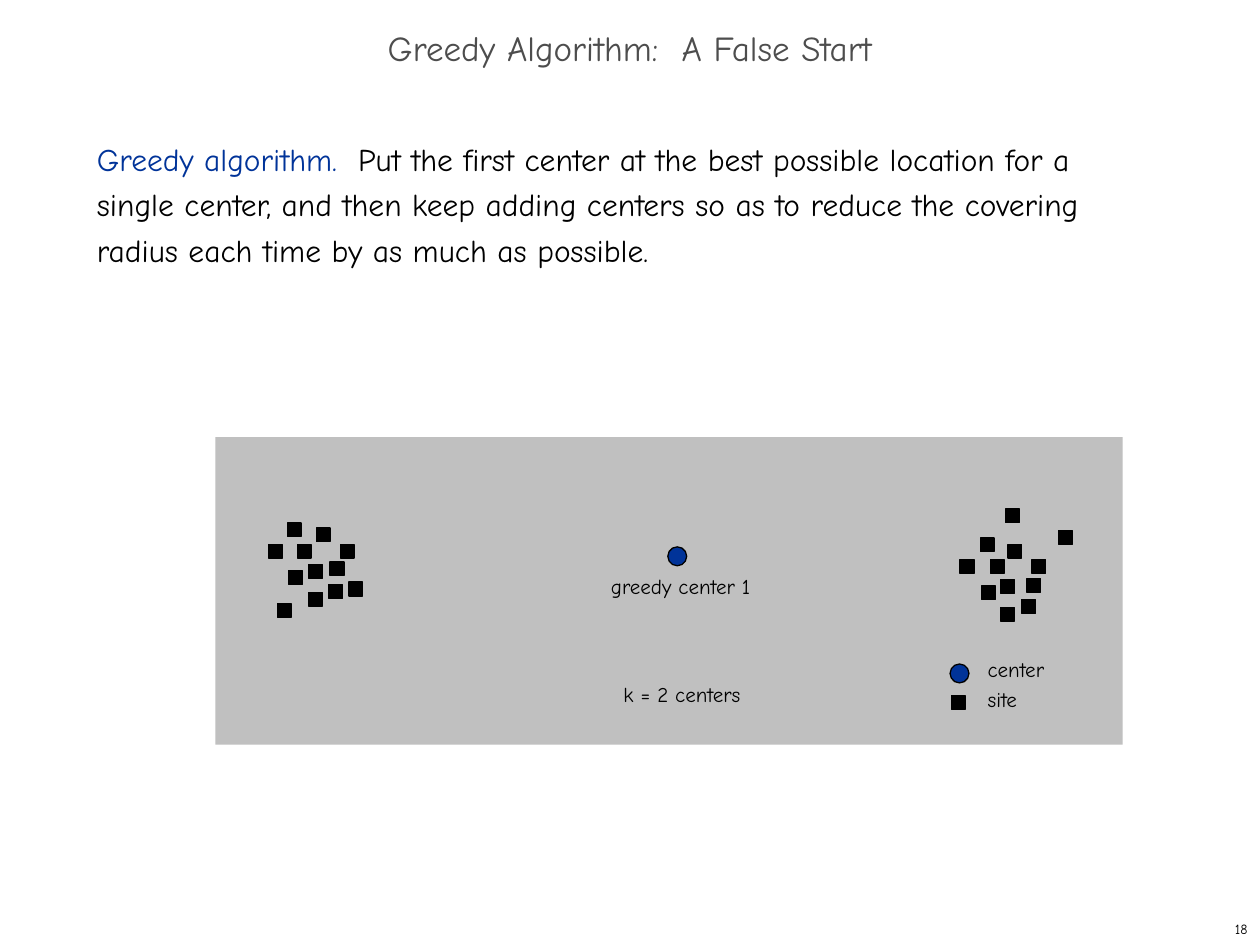
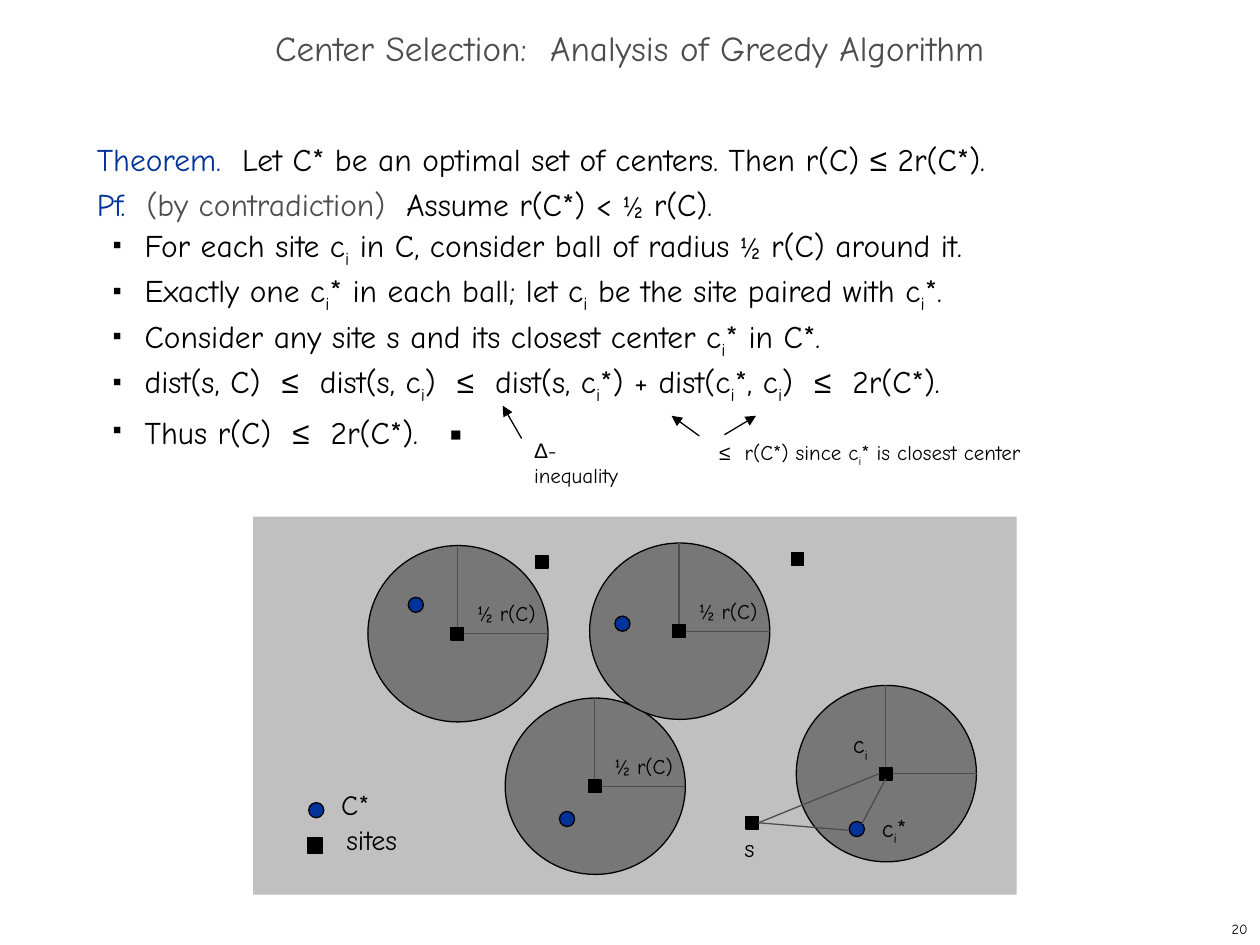
from dataclasses import dataclass
from itertools import groupby

from lxml import etree
from pptx import Presentation
from pptx.dml.color import RGBColor
from pptx.enum.shapes import MSO_CONNECTOR, MSO_SHAPE
from pptx.enum.text import MSO_ANCHOR, PP_ALIGN
from pptx.oxml.ns import qn
from pptx.util import Emu, Pt

RECT, OVAL = MSO_SHAPE.RECTANGLE, MSO_SHAPE.OVAL
STRAIGHT = MSO_CONNECTOR.STRAIGHT
TOP, MIDDLE = MSO_ANCHOR.TOP, MSO_ANCHOR.MIDDLE
LEFT, CENTER, RIGHT = PP_ALIGN.LEFT, PP_ALIGN.CENTER, PP_ALIGN.RIGHT
PX = 9144


@dataclass(frozen=True)
class Theme:
    black: str = "000000"
    blue: str = "003399"
    gray: str = "4D4D4D"
    panel: str = "C0C0C0"
    ball: str = "777777"
    font: str = "Comic Neue"
    symbol_font: str = "Arial"
    title: int = 20
    body: int = 18
    legend: int = 16
    name: int = 14
    label: int = 12
    page: int = 8
    fraction: int = 16
    leading: int = 26
    line: float = 0.75


T = Theme()

LEFT_SITES = [
    (228, 415), (236, 432), (245, 448), (251, 419), (245, 470),
    (213, 432), (229, 453), (261, 464), (270, 432), (262, 446),
    (277, 462), (220, 479),
]
RIGHT_SITES = [
    (778, 427), (786, 444), (794, 460), (800, 432), (794, 482),
    (762, 444), (779, 465), (811, 476), (819, 444), (798, 404),
    (815, 459), (840, 421),
]
BALLS = [
    (292, 433, True), (401, 554, True),
    (468, 431, True), (632, 544, False),
]
OPTIMAL_CENTERS = [(444, 644), (324, 474), (488, 489), (674, 652)]
PROOF_STEPS = [
    "For each site cᵢ in C, consider ball of radius ½ r(C) around it.",
    "Exactly one cᵢ* in each ball; let cᵢ be the site paired with cᵢ*.",
    "Consider any site s and its closest center cᵢ* in C*.",
    "dist(s, C)  ≤  dist(s, cᵢ)  ≤  dist(s, cᵢ*) + dist(cᵢ*, cᵢ)  ≤  2r(C*).",
    "Thus r(C)  ≤  2r(C*).   ▪",
]


def px(*lengths):
    return [Emu(n * PX) for n in lengths]


def rgb(color):
    return RGBColor.from_string(color)


def set_attrs(obj, fmt):
    for key, value in fmt.items():
        setattr(obj, key, value)


def char_kind(char):
    return char if char in "ᵢ≤Δ½" else ""


def add_runs(p, text, size, color):
    for kind, chars in groupby(text, char_kind):
        r = p.add_run()
        r.text = "i" if kind == "ᵢ" else "".join(chars)
        set_attrs(r.font, {
            "name": T.symbol_font if kind in ("≤", "Δ") else T.font,
            "size": Pt(min(size, T.fraction) if kind == "½" else size),
        })
        r.font.color.rgb = rgb(color)
        if kind == "ᵢ":
            r.font._element.set("baseline", "-25000")


def add_box(slide, box, anchor=TOP, wrap=True):
    tf = slide.shapes.add_textbox(*px(*box)).text_frame
    set_attrs(tf, {"word_wrap": wrap, "vertical_anchor": anchor})
    return tf


def add_label(slide, text, box, size=T.label, color=T.black,
              align=LEFT, anchor=TOP, wrap=True):
    p = add_box(slide, box, anchor, wrap).paragraphs[0]
    p.alignment = align
    add_runs(p, text, size, color)
    return p


def add_bullet(p):
    pPr = p._p.get_or_add_pPr()
    indent, hang = px(38, -25)
    pPr.set("marL", str(indent))
    pPr.set("indent", str(hang))
    clr = etree.SubElement(pPr, qn("a:buClr"))
    etree.SubElement(clr, qn("a:srgbClr"), val=T.black)
    etree.SubElement(pPr, qn("a:buSzPct"), val="35000")
    etree.SubElement(pPr, qn("a:buChar"), char="■")


def add_body(slide, width, statements, bullets=()):
    tf = add_box(slide, (67, 100, width, 592))
    paragraphs = [(runs, False) for runs in statements]
    paragraphs += [([(step, T.black)], True) for step in bullets]
    for i, (runs, bulleted) in enumerate(paragraphs):
        p = tf.add_paragraph() if i else tf.paragraphs[0]
        if bulleted:
            add_bullet(p)
        p.line_spacing = Pt(T.leading)
        for text, color in runs:
            add_runs(p, text, T.body, color)


def add_figure(slide, kind, box, fill, outlined=True):
    sp = slide.shapes.add_shape(kind, *px(*box))
    sp.shadow.inherit = False
    sp.fill.solid()
    sp.fill.fore_color.rgb = rgb(fill)
    if outlined:
        sp.line.color.rgb = rgb(T.black)
        sp.line.width = Pt(T.line)
    else:
        sp.line.fill.background()


def add_panel(slide, box):
    add_figure(slide, RECT, box, T.panel, outlined=False)


def add_site(slide, x, y, size):
    add_figure(slide, RECT, (x, y, size, size), T.black)


def add_center(slide, x, y, size):
    add_figure(slide, OVAL, (x, y, size, size), T.blue)


def add_line(slide, start, end, color=T.gray, arrow=False):
    c = slide.shapes.add_connector(STRAIGHT, *px(*start, *end))
    c.line.color.rgb = rgb(color)
    c.line.width = Pt(T.line)
    if arrow:
        etree.SubElement(c.line._get_or_add_ln(), qn("a:tailEnd"),
                         type="triangle")
    etree.SubElement(c._element.spPr, qn("a:effectLst"))


def add_ball(slide, x, y, labelled):
    add_figure(slide, OVAL, (x, y, 143, 140), T.ball)
    add_line(slide, (x + 76, y + 70), (x + 143, y + 70))
    add_line(slide, (x + 71, y + 65), (x + 71, y))
    add_site(slide, x + 66, y + 65, 10)
    if labelled:
        add_label(slide, "½ r(C)", (x + 77, y + 39, 80, 33))


def new_slide(prs, title, number):
    s = prs.slides.add_slide(prs.slide_layouts[6])
    add_label(s, number, (792, 725, 208, 25), T.page,
              align=RIGHT, anchor=MIDDLE)
    p = add_label(s, title, (0, 17, 1000, 50), T.title, T.gray,
                  CENTER, MIDDLE)
    p.line_spacing = 0.7
    return s


def build_false_start(prs):
    s = new_slide(prs, "Greedy Algorithm:  A False Start", "18")
    add_panel(s, (171, 347, 720, 244))
    add_body(s, 858, [[
        ("Greedy algorithm.  ", T.blue),
        ("Put the first center at the best possible location for a single "
         "center, and then keep adding centers so as to reduce the covering "
         "radius each time by as much as possible.", T.black),
    ]])
    for x, y in LEFT_SITES + RIGHT_SITES + [(755, 552)]:
        add_site(s, x, y, 11)
    for x, y in [(530, 434), (754, 527)]:
        add_center(s, x, y, 15)
    for text, box in [
        ("greedy center 1", (475, 450, 132, 30)),
        ("k = 2 centers", (485, 536, 114, 30)),
        ("center", (774, 516, 66, 30)),
        ("site", (774, 540, 44, 30)),
    ]:
        add_label(s, text, box, wrap=False)


def build_analysis(prs):
    s = new_slide(prs, "Center Selection:  Analysis of Greedy Algorithm", "20")
    add_body(s, 836, [
        [("Theorem.  ", T.blue),
         ("Let C* be an optimal set of centers. Then r(C) ≤ 2r(C*).",
          T.black)],
        [("Pf.  ", T.blue), ("(by contradiction)", T.gray),
         ("  Assume r(C*) < ½ r(C).", T.black)],
    ], PROOF_STEPS)
    add_panel(s, (201, 410, 606, 300))
    for x, y, labelled in BALLS:
        add_ball(s, x, y, labelled)
    for x, y in OPTIMAL_CENTERS + [(245, 637)]:
        add_center(s, x, y, 12)
    add_site(s, 244, 665, 12)
    for x, y in [(592, 648), (628, 439), (425, 441)]:
        add_site(s, x, y, 10)
    for start, end in [
        ((698, 614), (602, 653)),
        ((703, 618), (684, 654)),
        ((602, 653), (674, 659)),
    ]:
        add_line(s, start, end)
    for start, end in [
        ((555, 346), (533, 330)),
        ((575, 345), (600, 330)),
        ((414, 348), (399, 322)),
    ]:
        add_line(s, start, end, T.black, arrow=True)
    for text, box, size in [
        ("C*", (261, 620, 43, 37), T.legend),
        ("sites", (265, 648, 61, 37), T.legend),
        ("cᵢ", (667, 574, 32, 37), T.name),
        ("cᵢ*", (690, 640, 40, 37), T.name),
        ("s", (581, 656, 28, 33), T.name),
        ("≤  r(C*) since cᵢ* is closest center", (561, 344, 264, 33), T.label),
        ("Δ-inequality", (414, 342, 104, 30), T.label),
    ]:
        add_label(s, text, box, size)


def main():
    prs = Presentation()
    prs.slide_width, prs.slide_height = px(1000, 750)
    build_false_start(prs)
    build_analysis(prs)
    prs.save("out.pptx")


if __name__ == "__main__":
    main()
